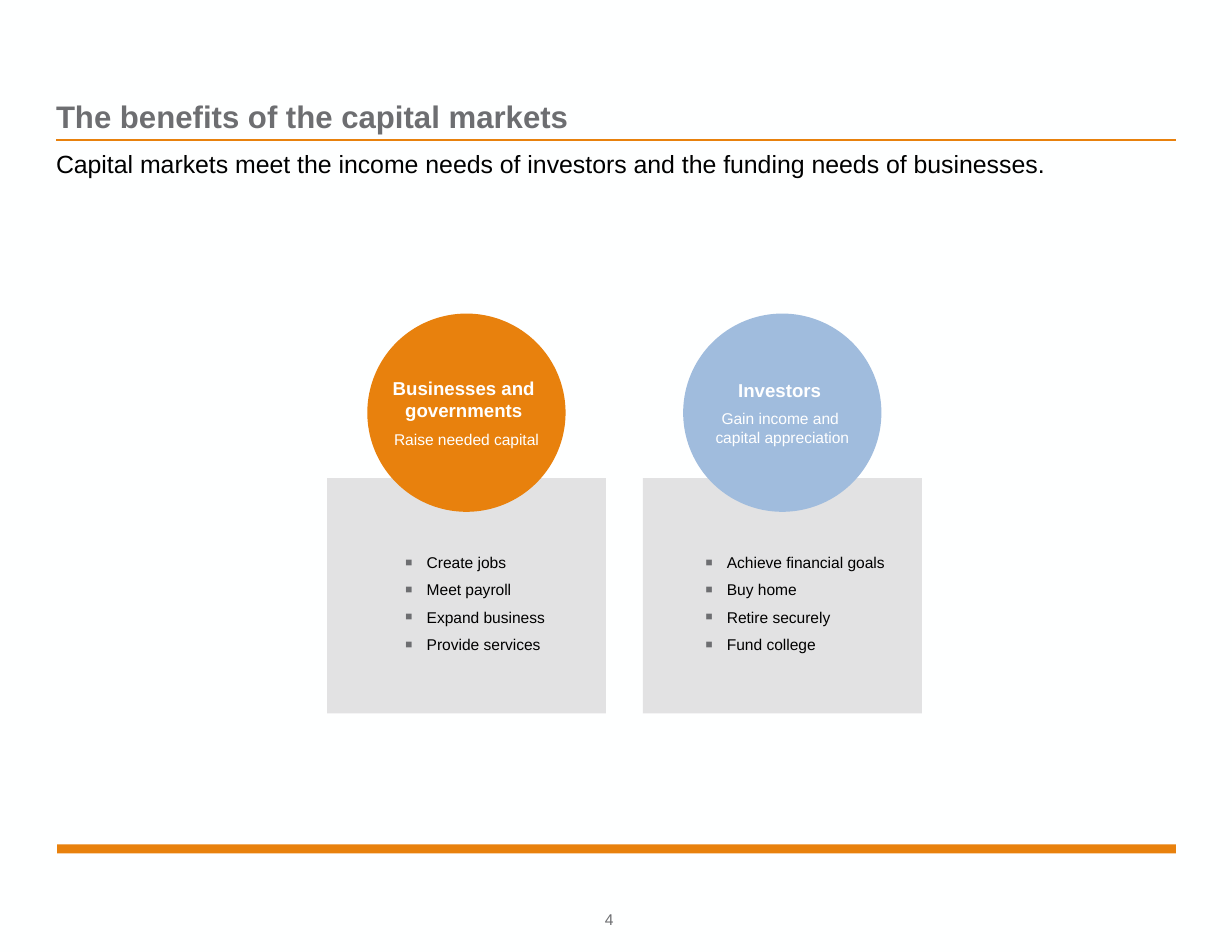
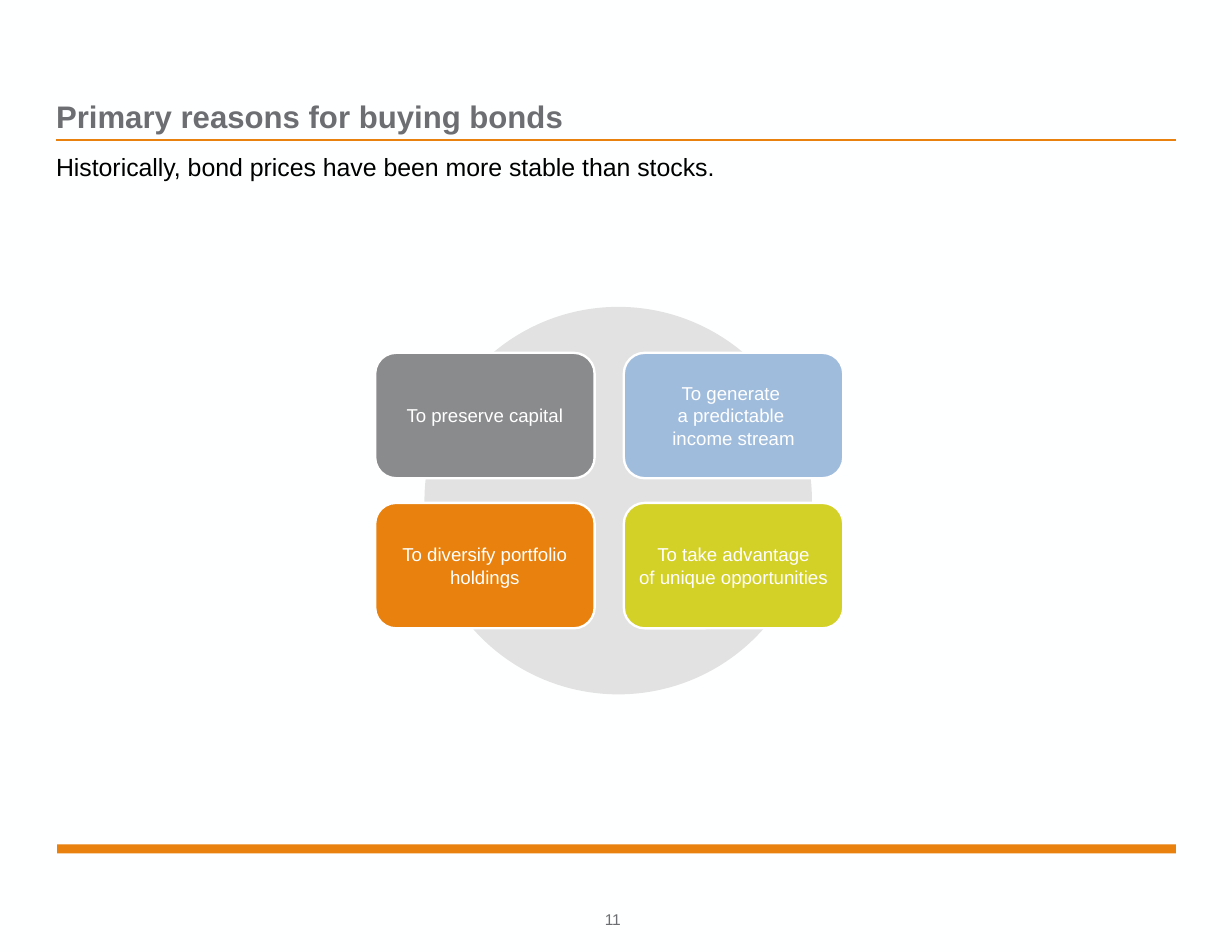
from lxml import etree
from pptx import Presentation
from pptx.dml.color import RGBColor
from pptx.enum.shapes import MSO_CONNECTOR, MSO_SHAPE
from pptx.enum.text import MSO_ANCHOR, MSO_AUTO_SIZE, PP_ALIGN
from pptx.oxml.ns import qn
from pptx.util import Inches, Pt

RECT, ROUND, OVAL = MSO_SHAPE.RECTANGLE, MSO_SHAPE.ROUNDED_RECTANGLE, MSO_SHAPE.OVAL
TOP, MIDDLE, BOTTOM = MSO_ANCHOR.TOP, MSO_ANCHOR.MIDDLE, MSO_ANCHOR.BOTTOM
LEFT, CENTER = PP_ALIGN.LEFT, PP_ALIGN.CENTER

COLORS = {
    "background": "FEFFFF", "orange": "E8810D", "blue": "A0BCDD", "lime": "D3D028",
    "gray": "8A8B8D", "light": "E2E2E3", "title": "6D6E71", "black": "000000",
    "white": "FFFFFF",
}
STYLES = {
    "title": {"size": 20, "bold": True, "color": "title"},
    "subtitle": {"size": 16, "bold": False, "color": "black"},
    "number": {"size": 10, "bold": False, "color": "title"},
    "heading": {"size": 12, "bold": True, "color": "white"},
    "caption": {"size": 10, "bold": False, "color": "white"},
    "reason": {"size": 12, "bold": False, "color": "white"},
    "item": {"size": 10, "bold": False, "color": "black"},
}

MARKETS = {
    "title": "The benefits of the capital markets",
    "subtitle": "Capital markets meet the income needs of investors and the funding needs of businesses.",
    "subtitle_top": 1.33, "number": "4", "layout": 3,
}
GROUPS = [
    {"heading": "Businesses and \ngovernments ", "caption": "Raise needed capital",
     "color": "orange", "list_left": 3.52,
     "items": ["Create jobs", "Meet payroll", "Expand business", "Provide services"]},
    {"heading": "Investors ", "caption": "Gain income and \ncapital appreciation",
     "color": "blue", "list_left": 6.2,
     "items": ["Achieve financial goals", "Buy home", "Retire securely", "Fund college"]},
]
BONDS = {
    "title": "Primary reasons for buying bonds",
    "subtitle": "Historically, bond prices have been more stable than stocks.",
    "subtitle_top": 1.35, "number": "11", "layout": 5,
}
REASONS = [
    ("To preserve capital", "gray"),
    ("To generate \na predictable \nincome stream", "blue"),
    ("To diversify portfolio\nholdings", "orange"),
    ("To take advantage\nof unique opportunities", "lime"),
]


def rgb(name):
    return RGBColor.from_string(COLORS[name])


def place(sp, box):
    for side, value in zip(("left", "top", "width", "height"), box):
        setattr(sp, side, Inches(value))


def write(sp, paragraphs, anchor=TOP, align=LEFT, inset=(0, 0), wrap=True, gap=5.4):
    tf = sp.text_frame
    across, down = (Inches(v) for v in inset)
    settings = {"word_wrap": wrap, "auto_size": MSO_AUTO_SIZE.NONE,
                "vertical_anchor": anchor, "margin_left": across, "margin_right": across,
                "margin_top": down, "margin_bottom": down}
    for name, value in settings.items():
        setattr(tf, name, value)
    for i, (text, style_name) in enumerate(paragraphs):
        p = tf.add_paragraph() if i else tf.paragraphs[0]
        p.text = text
        p.alignment = align
        p.space_before = Pt(gap if i else 0)
        style = STYLES[style_name]
        for r in p.runs:
            for name, value in {"name": "Arial", "size": Pt(style["size"]),
                                "bold": style["bold"]}.items():
                setattr(r.font, name, value)
            r.font.color.rgb = rgb(style["color"])
        for br in p._p.findall(qn("a:br")):
            etree.SubElement(br, qn("a:rPr"), sz=str(style["size"] * 100))


def add_bullets(sp):
    for p in sp.text_frame.paragraphs:
        pPr = p._p.get_or_add_pPr()
        pPr.set("marL", str(Inches(0.19)))
        pPr.set("indent", str(-Inches(0.19)))
        color = etree.SubElement(pPr, qn("a:buClr"))
        etree.SubElement(color, qn("a:srgbClr"), val=COLORS["title"])
        etree.SubElement(pPr, qn("a:buSzPct"), val="75000")
        etree.SubElement(pPr, qn("a:buFont"), typeface="Arial")
        etree.SubElement(pPr, qn("a:buChar"), char="■")


def add_shape(s, kind, box, color, outline=None):
    sp = s.shapes.add_shape(kind, *(Inches(v) for v in box))
    sp.shadow.inherit = False
    sp.fill.solid()
    sp.fill.fore_color.rgb = rgb(color)
    if outline:
        sp.line.color.rgb = rgb(outline)
        sp.line.width = Pt(1.5)
    else:
        sp.line.fill.background()
    return sp


def add_text(s, box, text, style, anchor=TOP):
    sp = s.shapes.add_textbox(*(Inches(v) for v in box))
    write(sp, [(text, style)], anchor)


def add_slide(prs, content):
    s = prs.slides.add_slide(prs.slide_layouts[content["layout"]])
    add_shape(s, RECT, (0.51, 7.54, 9.99, 0.08), "orange")
    rule = s.shapes.add_connector(MSO_CONNECTOR.STRAIGHT, Inches(0.5), Inches(1.25),
                                  Inches(10.5), Inches(1.25))
    rule.line.color.rgb = rgb("orange")
    rule.line.width = Pt(1)
    etree.SubElement(rule._element.spPr, qn("a:effectLst"))
    place(s.shapes.title, (0.5, 0.52, 9.99, 0.68))
    write(s.shapes.title, [(content["title"], "title")], BOTTOM)
    add_text(s, (0.5, content["subtitle_top"], 9.99, 0.37), content["subtitle"], "subtitle")
    add_text(s, (5.4, 8.12, 0.3, 0.17), content["number"], "number", BOTTOM)
    return s


def build_markets(prs):
    s = add_slide(prs, MARKETS)
    card_width, pitch, diameter = 2.49, 2.82, 1.77
    for i, group in enumerate(GROUPS):
        left = 2.92 + i * pitch
        add_shape(s, RECT, (left, 4.27, card_width, 2.1), "light")
        circle_left = left + (card_width - diameter) / 2
        circle = add_shape(s, OVAL, (circle_left, 2.8, diameter, diameter), group["color"])
        write(circle, [(group[key], key) for key in ("heading", "caption")],
              MIDDLE, CENTER, wrap=False)
        body = s.placeholders[i + 1]
        place(body, (group["list_left"], 4.89, 1.96, 1.03))
        write(body, [(item, "item") for item in group["items"]], inset=(0.1, 0.05))
        add_bullets(body)
        s.shapes._spTree.append(body._element)


def build_bonds(prs):
    s = add_slide(prs, BONDS)
    add_shape(s, OVAL, (3.79, 2.74, 3.46, 3.46), "light")
    for i, (text, color) in enumerate(REASONS):
        row, col = divmod(i, 2)
        box = (3.35 + col * 2.22, 3.15 + row * 1.34, 1.96, 1.12)
        sp = add_shape(s, ROUND, box, color, "white")
        write(sp, [(text, "reason")], MIDDLE, CENTER)


def main():
    prs = Presentation()
    prs.slide_width, prs.slide_height = Inches(11), Inches(8.5)
    fill = prs.slide_master.background.fill
    fill.solid()
    fill.fore_color.rgb = rgb("background")
    build_markets(prs)
    build_bonds(prs)
    prs.save("out.pptx")


if __name__ == "__main__":
    main()
